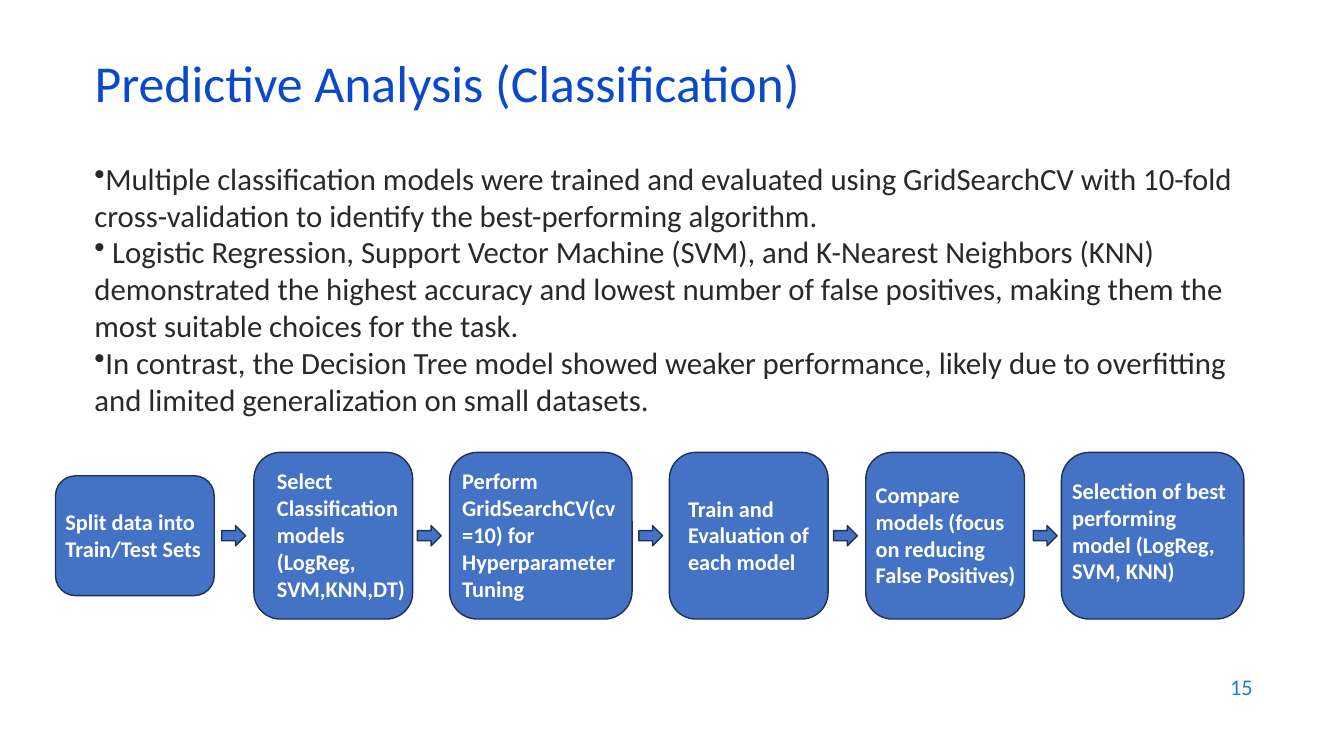
"""Build the slide on predictive analysis with its six-step model flow."""
from lxml import etree
from pptx import Presentation
from pptx.dml.color import RGBColor
from pptx.enum.shapes import MSO_SHAPE
from pptx.enum.text import MSO_ANCHOR, MSO_AUTO_SIZE, PP_ALIGN
from pptx.oxml.ns import qn
from pptx.util import Cm, Pt

ROUND = MSO_SHAPE.ROUNDED_RECTANGLE
ARROW = MSO_SHAPE.RIGHT_ARROW
TOP, MIDDLE = MSO_ANCHOR.TOP, MSO_ANCHOR.MIDDLE
LEFT, RIGHT = PP_ALIGN.LEFT, PP_ALIGN.RIGHT
FIXED = MSO_AUTO_SIZE.NONE

BLUE = RGBColor(0x0B, 0x49, 0xCB)
SKY = RGBColor(0x1C, 0x7D, 0xDB)
INK = RGBColor(0x29, 0x29, 0x29)
STEEL = RGBColor(0x44, 0x72, 0xC4)
NAVY = RGBColor(0x1E, 0x32, 0x56)
WHITE = RGBColor(0xFF, 0xFF, 0xFF)

HEAD = {"size": Pt(37), "bold": False}
BODY = {"size": Pt(22)}
SMALL = {"size": Pt(16)}
LABEL = {"size": Pt(16), "bold": True}

MID = 13.5
POINTS = [
    "Multiple classification models were trained and evaluated using GridSearchCV "
    "with 10-fold cross-validation to identify the best-performing algorithm.",
    " Logistic Regression, Support Vector Machine (SVM), and K-Nearest Neighbors (KNN) "
    "demonstrated the highest accuracy and lowest number of false positives, "
    "making them the most suitable choices for the task.",
    "In contrast, the Decision Tree model showed weaker performance, likely due to "
    "overfitting and limited generalization on small datasets.",
]
# Box left, width and height; label left, width, line count and middle; label.
STEPS = [
    (1.4, 4, 3.02, 1.4, 4, 2, MID, "Split data into Train/Test Sets"),
    (6.4, 4, 4.2, 6.73, 4, 5, MID,
     "Select Classification models (LogReg, SVM,KNN,DT)"),
    (11.33, 4.6, 4.2, 11.4, 4.55, 5, MID,
     "Perform GridSearchCV(cv=10) for Hyperparameter Tuning"),
    (16.87, 4, 4.2, 17.09, 4, 3, MID, "Train and Evaluation of each model"),
    (21.82, 4, 4.2, 21.82, 4.3, 4, MID,
     "Compare models (focus on reducing False Positives)"),
    (26.75, 4.6, 4.2, 26.77, 4.55, 4, 13.4,
     "Selection of best performing model (LogReg, SVM, KNN)"),
]
ARROWS = [5.59, 10.52, 16.1, 21.01, 26.04]


def put(item, left, top, width, height):
    """Place an item by lengths in centimetres."""
    place = {"left": left, "top": top, "width": width, "height": height}
    for name, value in place.items():
        setattr(item, name, Cm(value))


def write(frame, lines, style, color, anchor=TOP, align=LEFT, dots=False):
    """Fill a text frame with styled paragraphs."""
    form = {"word_wrap": True, "auto_size": FIXED, "vertical_anchor": anchor}
    for name, value in form.items():
        setattr(frame, name, value)
    for i, line in enumerate(lines):
        para = frame.paragraphs[0] if i == 0 else frame.add_paragraph()
        para.text = line
        para.alignment = align
        if dots:
            props = para._p.get_or_add_pPr()
            etree.SubElement(props, qn("a:buChar")).set("char", "•")
        font = para.runs[0].font
        for name, value in {"name": "Calibri", **style}.items():
            setattr(font, name, value)
        font.color.rgb = color


def add_text(slide, spot, lines, style, color, **form):
    """Add a text box at a spot."""
    box = slide.shapes.add_textbox(*map(Cm, spot))
    write(box.text_frame, lines, style, color, **form)


def add_block(slide, kind, left, width, height):
    """Add a blue shape centred on the flow line."""
    block = slide.shapes.add_shape(
        kind, Cm(left), Cm(MID - height / 2), Cm(width), Cm(height))
    block.shadow.inherit = False
    block.fill.solid()
    block.fill.fore_color.rgb = STEEL
    block.line.color.rgb = NAVY
    block.line.width = Pt(1)


def add_step(slide, left, width, height, start, span, rows, mid, label):
    """Add one step of the flow with its label."""
    add_block(slide, ROUND, left, width, height)
    tall = 0.69 * rows + 0.25
    add_text(slide, (start, mid - tall / 2, span, tall), [label], LABEL, WHITE)


def main():
    """Build and save the slide."""
    deck = Presentation()
    deck.slide_width, deck.slide_height = Cm(33.87), Cm(19.05)
    slide = deck.slides.add_slide(deck.slide_layouts[5])
    title = slide.shapes.title
    put(title, 2.13, 1.5, 29.2, 1.52)
    write(title.text_frame, ["Predictive Analysis (Classification)"], HEAD, BLUE,
          anchor=MIDDLE)
    title.text_frame.paragraphs[0].line_spacing = 0.7
    add_text(slide, (2.13, 3.89, 29.2, 7.26), POINTS, BODY, INK, dots=True)
    for step in STEPS:
        add_step(slide, *step)
    for left in ARROWS:
        add_block(slide, ARROW, left, 0.6, 0.51)
    add_text(slide, (24.2, 16.74, 7.62, 1.12), ["15"], SMALL, SKY,
             anchor=MIDDLE, align=RIGHT)
    deck.save("out.pptx")


if __name__ == "__main__":
    main()
